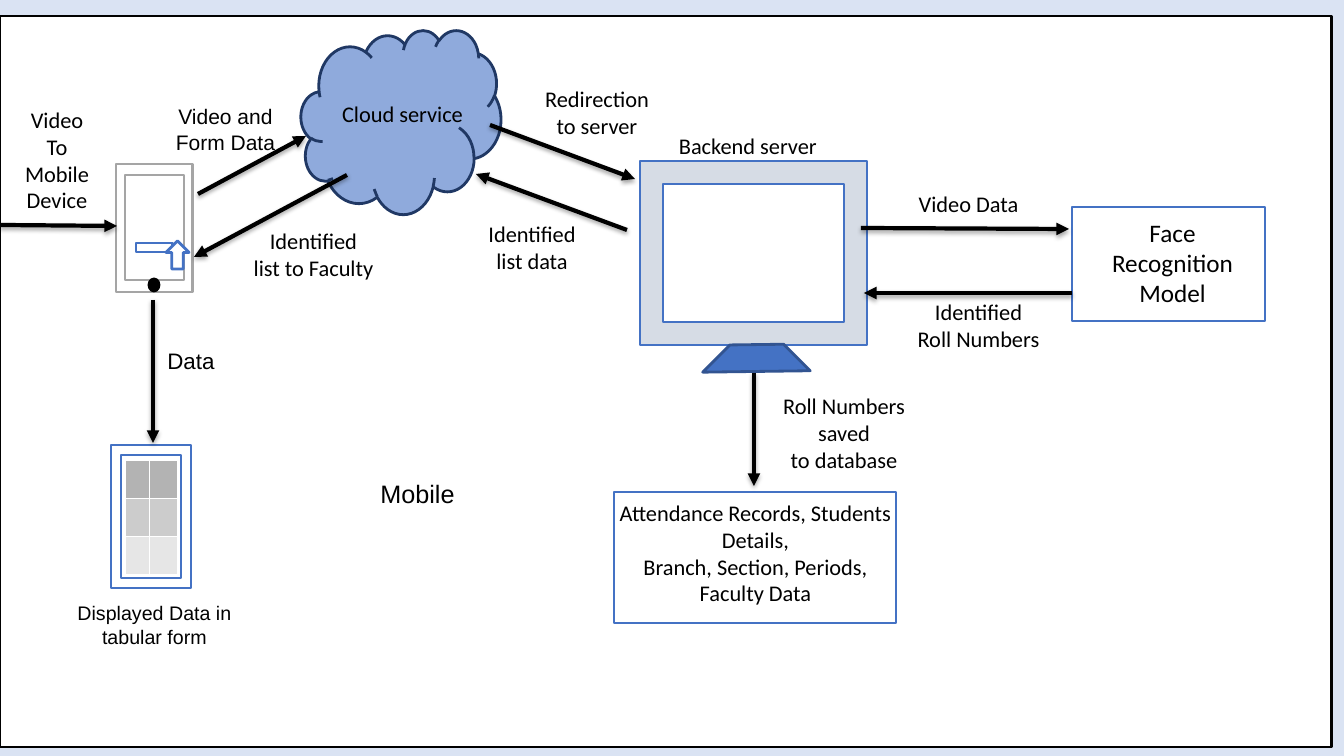
from pptx import Presentation
from pptx.dml.color import RGBColor
from pptx.enum.shapes import MSO_CONNECTOR as Line, MSO_SHAPE as Kind
from pptx.enum.text import PP_ALIGN as Align
from pptx.oxml import parse_xml
from pptx.oxml.ns import nsdecls
from pptx.util import Pt

SCALE = 914400 / 100.8
BLUE, GRAY, BLACK, WHITE = "4472C4", "A5A5A5", "000000", "FFFFFF"


def px(*lengths):
    return [round(length * SCALE) for length in lengths]


def color(code):
    return RGBColor.from_string(code)


def xml(tag, attributes="", inner=""):
    return parse_xml(f"<a:{tag} {nsdecls('a')} {attributes}>{inner}</a:{tag}>")


def write(frame, text, size=16, font="Calibri", ink=BLACK):
    frame.word_wrap = True
    for index, words in enumerate(text.split("\n")):
        para = frame.add_paragraph() if index else frame.paragraphs[0]
        para.alignment = Align.CENTER
        span = para.add_run()
        span.text = words
        span.font.size, span.font.name = Pt(size), font
        span.font.color.rgb = color(ink)


class Diagram:
    """Draws the parts of a flow diagram on one slide in a shared style."""

    def __init__(self, page, backdrop):
        self.page = page
        self.shapes = page.shapes
        page.background.fill.solid()
        page.background.fill.fore_color.rgb = color(backdrop)

    def shape(self, kind, *place, fill=WHITE, line=BLUE, turn=0, adjust=()):
        shape = self.shapes.add_shape(kind, *px(*place))
        shape.shadow.inherit = False
        shape.fill.solid()
        shape.fill.fore_color.rgb = color(fill)
        shape.line.color.rgb = color(line)
        shape.line.width = Pt(2)
        shape.rotation = turn
        for index, value in enumerate(adjust):
            shape.adjustments[index] = value

    def arrow(self, *ends):
        arrow = self.shapes.add_connector(Line.STRAIGHT, *px(*ends))
        arrow.line.color.rgb = color(BLACK)
        arrow.line.width = Pt(3)
        arrow.line._get_or_add_ln().append(xml("tailEnd", 'type="triangle"'))
        shade = (
            '<a:outerShdw blurRad="40000" dist="23000" dir="5400000" rotWithShape="0">'
            '<a:srgbClr val="000000"><a:alpha val="35000"/></a:srgbClr></a:outerShdw>'
        )
        arrow._element.spPr.append(xml("effectLst", inner=shade))

    def label(self, text, *place, **style):
        box = self.shapes.add_textbox(*px(*place))
        write(box.text_frame, text, **style)

    def grid(self, left, top, widths, height, fills):
        place = px(left, top, sum(widths), height * len(fills))
        table = self.shapes.add_table(len(fills), len(widths), *place).table
        table.first_row = table.horz_banding = False
        for column, width in zip(table.columns, px(*widths)):
            column.width = width
        edge = f'<a:solidFill><a:srgbClr val="{WHITE}"/></a:solidFill>'
        for row, fill in zip(table.rows, fills):
            row.height = px(height)[0]
            for cell in row.cells:
                cell.margin_left = cell.margin_right = 0
                cell.margin_top = cell.margin_bottom = 0
                cell.text_frame.paragraphs[0].font.size = Pt(8)
                cell.fill.solid()
                cell.fill.fore_color.rgb = color(fill)
                for index, side in enumerate("LRTB"):
                    border = xml(f"ln{side}", 'w="762"', edge)
                    cell._tc.get_or_add_tcPr().insert(index, border)


deck = Presentation()
deck.slide_width, deck.slide_height = px(1344, 756)
diagram = Diagram(deck.slides.add_slide(deck.slide_layouts[6]), "DAE3F3")

diagram.shape(Kind.RECTANGLE, 0, 16, 1332, 731, line=BLACK)

diagram.shape(Kind.RECTANGLE, 116, 164, 77, 128, line=GRAY)
diagram.shape(Kind.RECTANGLE, 125, 175, 59, 105, line=GRAY)
diagram.shape(Kind.OVAL, 149, 279, 10, 12, fill=BLACK, line=BLACK)
diagram.shape(Kind.RECTANGLE, 136, 243, 37, 9)
diagram.shape(Kind.DOWN_ARROW, 166, 241, 23, 28, turn=180)

diagram.shape(Kind.CLOUD, 301, 30, 200, 184, fill="8FAADC", line="203864")
diagram.shape(Kind.FRAME, 640, 161, 227, 184, fill="D6DCE5", adjust=[0.125])
diagram.shape(Kind.DIAGONAL_STRIPE, 719, 333, 75, 77, fill=BLUE, line="325491", turn=45)
diagram.shape(Kind.RECTANGLE, 1072, 207, 193, 114)
diagram.shape(Kind.RECTANGLE, 614, 492, 282, 131)
diagram.shape(Kind.FRAME, 111, 445, 80, 143, adjust=[0.125])
diagram.grid(125, 460, [24, 28], 38, ["B3B3B3", "CCCCCC", "E6E6E6"])

for ends in [
    (0, 225, 117, 226),
    (198, 194, 306, 136),
    (347, 175, 194, 257),
    (490, 125, 635, 179),
    (627, 230, 476, 174),
    (861, 228, 1069, 229),
    (1072, 293, 864, 293),
    (754, 373, 754, 486),
    (153, 300, 153, 443),
]:
    diagram.arrow(*ends)

for text, *place in [
    ("Video\nTo\nMobile\nDevice", 5, 101, 104, 117),
    ("Identified\nlist to Faculty", 226, 222, 175, 64),
    ("Cloud service", 317, 95, 171, 37),
    ("Redirection\nto server", 524, 80, 146, 64),
    ("Identified\nlist data", 469, 215, 126, 64),
    ("Backend server", 651, 127, 194, 37),
    ("Video Data", 897, 185, 143, 37),
    ("Identified\nRoll Numbers", 894, 293, 169, 64),
    ("Roll Numbers\nsaved\nto database", 756, 387, 176, 91),
    ("Attendance Records, Students Details,\nBranch, Section, Periods, Faculty Data", 607, 494, 297, 117),
]:
    diagram.label(text, *place)

diagram.label("Face Recognition\nModel", 1078, 212, 189, 101, size=18)
for text, size, *place in [
    ("Video and\nForm Data", 15, 158, 99, 135, 56),
    ("Data", 16, 151, 342, 80, 35),
    ("Mobile", 18, 358, 473, 119, 38),
    ("Displayed Data in tabular form", 14, 55, 596, 199, 54),
]:
    diagram.label(text, *place, size=size, font="Arial")

deck.save("out.pptx")
